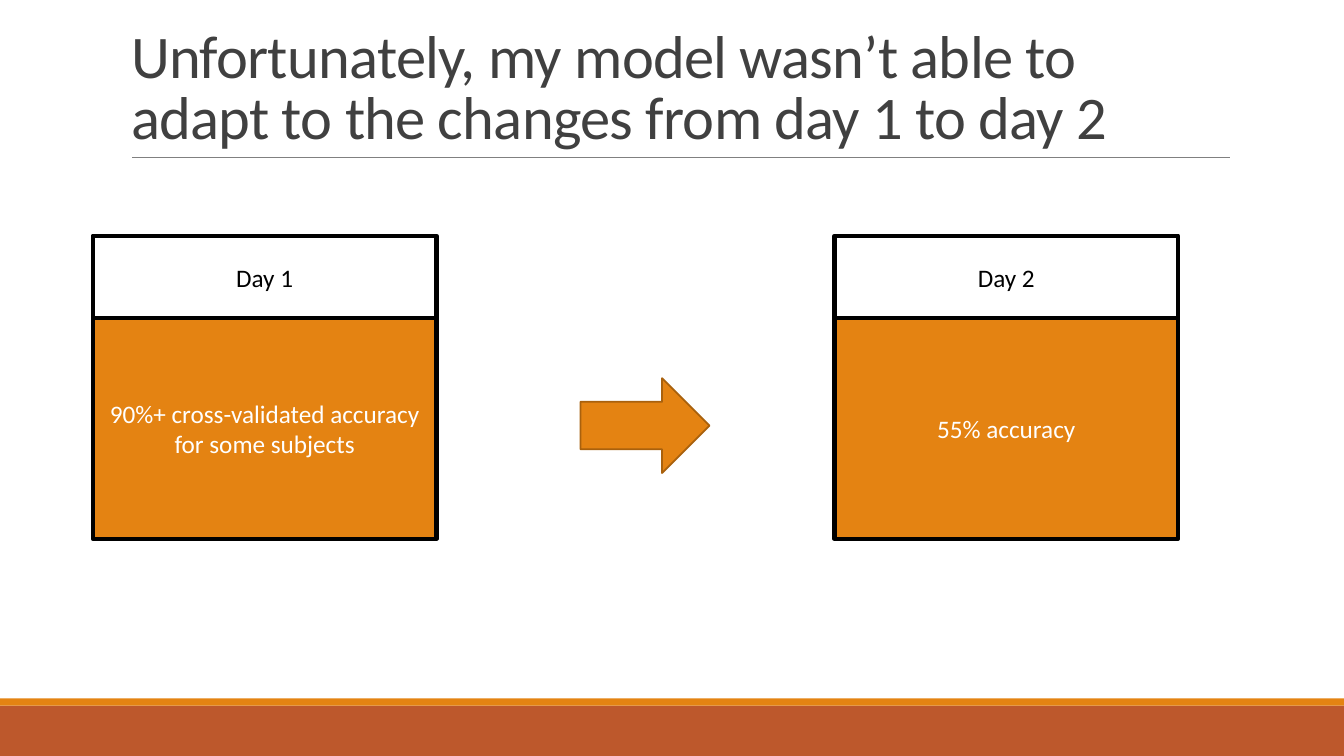
import dataclasses

import lxml.etree
import pptx
import pptx.dml.color
import pptx.enum.shapes
import pptx.enum.text
import pptx.oxml.ns
import pptx.util

Cm = pptx.util.Cm
Pt = pptx.util.Pt
SHAPE = pptx.enum.shapes.MSO_SHAPE
ANCHOR = pptx.enum.text.MSO_ANCHOR
ALIGN = pptx.enum.text.PP_ALIGN


@dataclasses.dataclass(frozen=True)
class Theme:
    """Hold the colours, font and sizes of the slide."""
    font: str = "Calibri"
    title_size: float = 43.2
    body_size: float = 18
    orange: str = "E48312"
    rust: str = "BD582C"
    arrow_edge: str = "A9610D"
    rule: str = "808080"
    title: str = "404040"
    black: str = "000000"
    white: str = "FFFFFF"


THEME = Theme()


def rgb(value):
    """Turn a hex string into a colour."""
    return pptx.dml.color.RGBColor.from_string(value)


def set_attrs(obj, values):
    """Set each attribute of an object from a dict."""
    for name, value in values.items():
        setattr(obj, name, value)


def write(sp, text, size, color, frame, paragraph):
    """Write one formatted paragraph into a shape."""
    tf = sp.text_frame
    set_attrs(tf, {"word_wrap": True, **frame})
    p = tf.paragraphs[0]
    set_attrs(p, paragraph)
    r = p.add_run()
    r.text = text
    set_attrs(r.font, {"name": THEME.font, "size": Pt(size)})
    r.font.color.rgb = rgb(color)
    return r


def add_block(slide, kind, box, fill=None, line=None, width=0):
    """Add a preset shape with an optional fill and outline."""
    sp = slide.shapes.add_shape(kind, *map(Cm, box))
    sp.shadow.inherit = False
    if fill:
        sp.fill.solid()
        sp.fill.fore_color.rgb = rgb(fill)
    else:
        sp.fill.background()
    if line:
        sp.line.color.rgb = rgb(line)
        sp.line.width = Pt(width)
    else:
        sp.line.fill.background()
    return sp


def add_footer(slide, box, strip):
    """Draw the footer band with a thin strip along its top."""
    x, y, w, h = box
    add_block(slide, SHAPE.RECTANGLE, (x, y + strip, w, h - strip), THEME.rust)
    add_block(slide, SHAPE.RECTANGLE, (x, y, w, strip), THEME.orange)


def add_title(slide, box, text):
    """Place the title with a rule under it."""
    x, y, w, h = box
    inset = 0.28
    rule = slide.shapes.add_connector(
        pptx.enum.shapes.MSO_CONNECTOR.STRAIGHT,
        Cm(x + inset), Cm(y + h), Cm(x + w - inset / 2 + 0.14), Cm(y + h))
    rule.line.color.rgb = rgb(THEME.rule)
    rule.line.width = Pt(0.5)
    lxml.etree.SubElement(rule._element.spPr, pptx.oxml.ns.qn("a:effectLst"))
    sp = slide.shapes.title
    set_attrs(sp, dict(zip(("left", "top", "width", "height"), map(Cm, box))))
    r = write(sp, text, THEME.title_size, THEME.title,
              {"vertical_anchor": ANCHOR.BOTTOM,
               "auto_size": pptx.enum.text.MSO_AUTO_SIZE.NONE},
              {"alignment": ALIGN.LEFT, "line_spacing": 0.85,
               "space_before": Pt(0)})
    r.font._element.set("spc", "-50")


def add_day_card(slide, box, day, result):
    """Draw a day heading over its result, sharing one edge."""
    x, y, w, h = box
    head = 2.08
    parts = ((result, (x, y + head, w, h - head), THEME.orange, THEME.white),
             (day, (x, y, w, head), None, THEME.black))
    for text, part, fill, color in parts:
        sp = add_block(slide, SHAPE.RECTANGLE, part, fill, THEME.black, 3)
        write(sp, text, THEME.body_size, color,
              {"vertical_anchor": ANCHOR.MIDDLE}, {"alignment": ALIGN.CENTER})


def build_comparison(prs):
    """Build the slide that compares the two days."""
    slide = prs.slides.add_slide(prs.slide_layouts[5])
    add_footer(slide, (0, 17.6, 33.87, 1.45), 0.18)
    add_title(slide, (3.05, 0.51, 27.94, 3.45),
              "Unfortunately, my model wasn’t able to adapt to the changes "
              "from day 1 to day 2")
    cards = ((2.34, "Day 1", "90%+ cross-validated accuracy for some subjects"),
             (21.03, "Day 2", "55% accuracy"))
    for x, day, result in cards:
        add_day_card(slide, (x, 5.94, 8.66, 7.64), day, result)
    add_block(slide, SHAPE.RIGHT_ARROW, (14.63, 9.53, 3.25, 2.39),
              THEME.orange, THEME.arrow_edge, 1.25)


def main():
    """Create and save the presentation."""
    prs = pptx.Presentation()
    set_attrs(prs, {"slide_width": Cm(33.87), "slide_height": Cm(19.05)})
    build_comparison(prs)
    prs.save("out.pptx")


if __name__ == "__main__":
    main()
